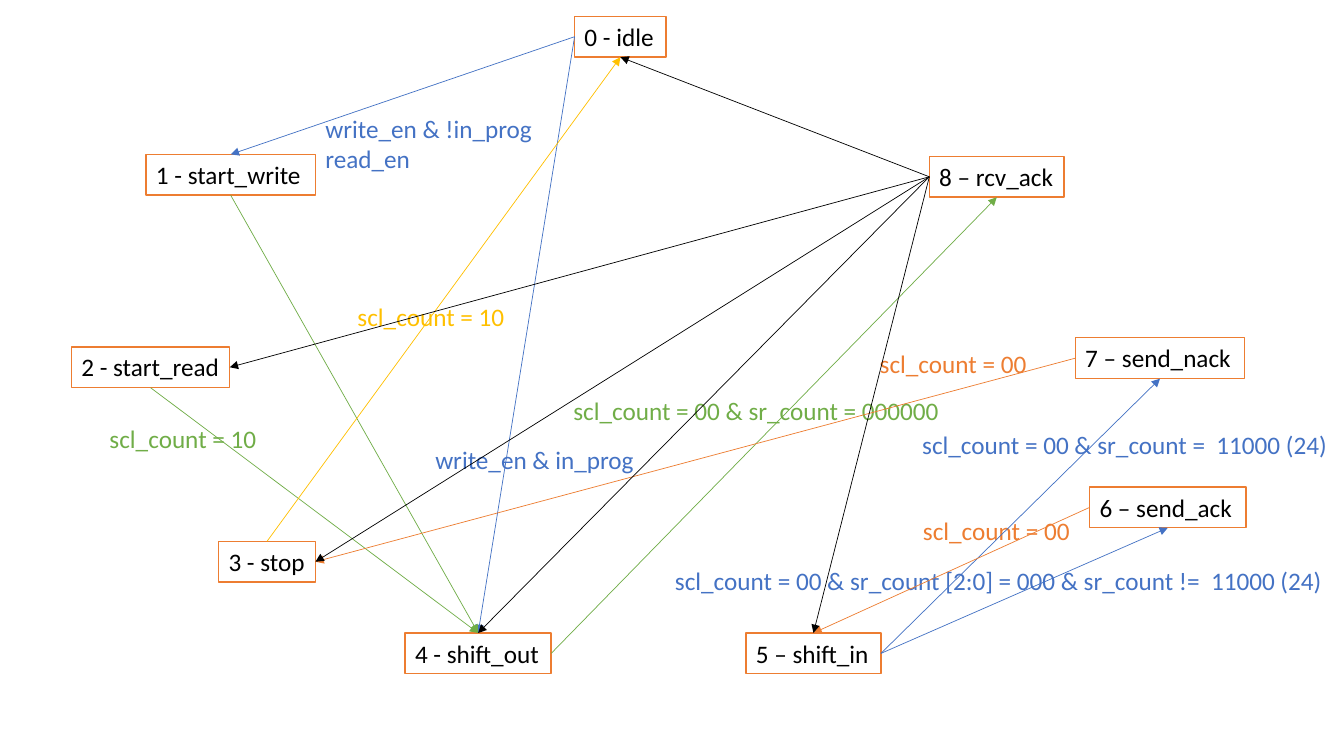
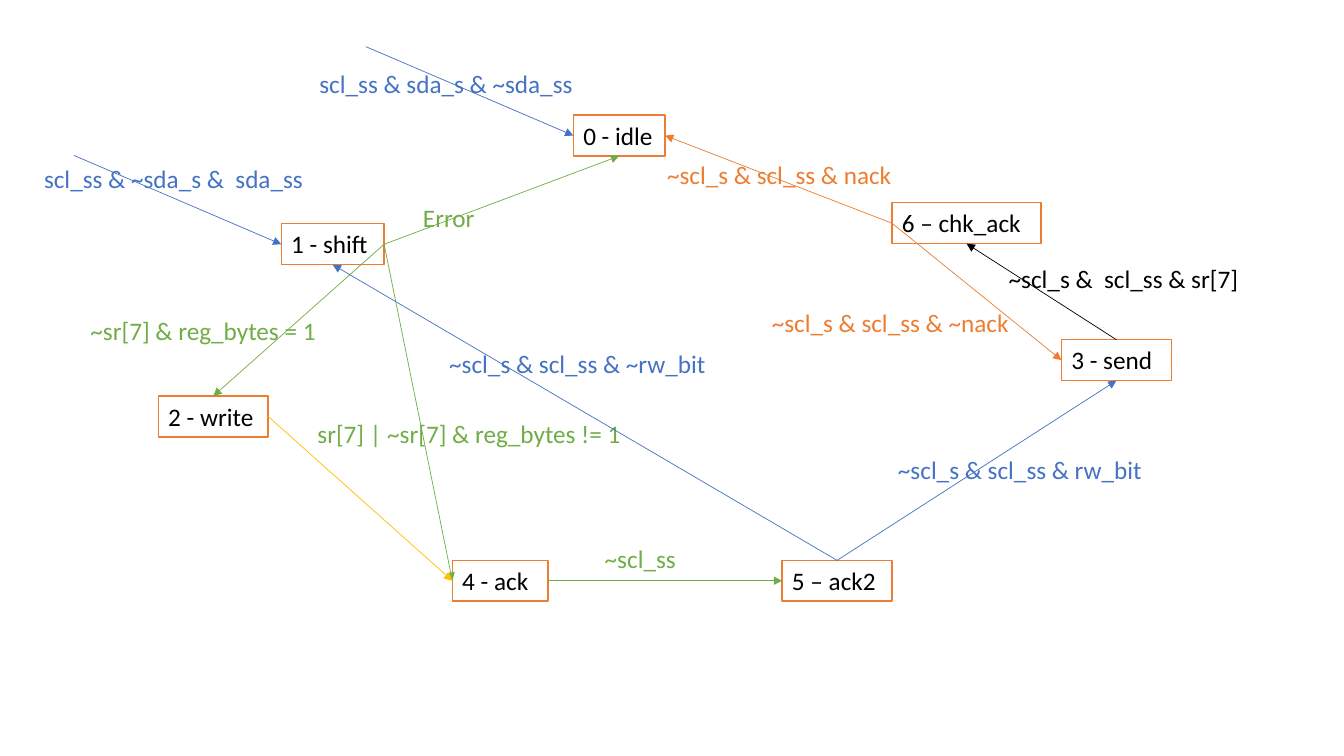
import dataclasses

import lxml.etree
import pptx
import pptx.dml.color
import pptx.enum.shapes
import pptx.enum.text
import pptx.oxml.ns
import pptx.util

Cm = pptx.util.Cm
Pt = pptx.util.Pt
qn = pptx.oxml.ns.qn
TOP, LEFT, BOTTOM, RIGHT = range(4)


@dataclasses.dataclass(frozen=True)
class Theme:
    font: str = "Calibri"
    text_size: float = 18
    state_line: float = 1
    arrow_line: float = 0.5
    row_height: float = 1.03
    white: str = "FFFFFF"
    black: str = "000000"
    blue: str = "4472C4"
    green: str = "70AD47"
    gold: str = "FFC000"
    orange: str = "ED7D31"

    def rgb(self, name):
        return pptx.dml.color.RGBColor.from_string(getattr(self, name))


@dataclasses.dataclass(frozen=True)
class Box:
    left: float
    top: float
    width: float
    height: float

    def place(self, x, y):
        return Cm(self.left + x), Cm(self.top + y)


THEME = Theme()
PAGE = Box(0, 0, 33.87, 19.05)
ENTRY_OFFSET = (Cm(-5.23), Cm(-2.24))

MASTER_STATES = [
    ("0 - idle", 14.48, 0.41, 2.31),
    ("1 - start_write", 3.68, 3.89, 4.27),
    ("2 - start_read", 1.8, 8.74, 3.99),
    ("3 - stop", 5.51, 13.64, 2.44),
    ("4 - shift_out", 10.21, 15.95, 3.68),
    ("5 – shift_in", 18.8, 15.95, 3.4),
    ("6 – send_ack", 27.46, 12.27, 3.94),
    ("7 – send_nack", 27.1, 8.51, 4.27),
    ("8 – rcv_ack", 23.42, 3.94, 3.4),
]
MASTER_LABELS = [
    ("write_en & !in_prog\nread_en", 7.95, 2.72, 5.87, "blue"),
    ("write_en & in_prog", 10.72, 11.07, 5.56, "blue"),
    ("scl_count = 10", 2.51, 10.54, 4.45, "green"),
    ("scl_count = 10", 8.76, 7.47, 4.5, "gold"),
    ("scl_count = 00 & sr_count = 000000", 14.2, 9.83, 9.75, "green"),
    ("scl_count = 00 & sr_count =  11000 (24)", 22.99, 10.69, 10.87, "blue"),
    ("scl_count = 00 & sr_count [2:0] = 000 & sr_count !=  11000 (24)",
     16.76, 14.12, 17.07, "blue"),
    ("scl_count = 00", 23.01, 12.85, 4.5, "orange"),
    ("scl_count = 00", 21.92, 8.66, 4.39, "orange"),
]
MASTER_ARROWS = [
    (0, LEFT, 1, TOP, "blue"),
    (0, LEFT, 4, TOP, "blue"),
    (1, BOTTOM, 4, TOP, "green"),
    (2, BOTTOM, 4, TOP, "green"),
    (3, TOP, 0, BOTTOM, "gold"),
    (4, RIGHT, 8, BOTTOM, "green"),
    (5, RIGHT, 7, BOTTOM, "blue"),
    (5, RIGHT, 6, BOTTOM, "blue"),
    (6, LEFT, 5, TOP, "orange"),
    (7, LEFT, 3, RIGHT, "orange"),
    (8, LEFT, 0, BOTTOM, "black"),
    (8, LEFT, 3, RIGHT, "black"),
    (8, LEFT, 2, RIGHT, "black"),
    (8, LEFT, 5, TOP, "black"),
    (8, LEFT, 4, TOP, "black"),
]

SLAVE_STATES = [
    ("0 - idle", 14.45, 2.9, 2.31),
    ("1 - shift", 7.09, 5.64, 2.59),
    ("2 - write", 3.99, 9.98, 2.77),
    ("3 - send", 26.75, 8.56, 2.77),
    ("4 - ack", 11.4, 14.12, 2.41),
    ("5 – ack2", 19.71, 14.12, 2.77),
    ("6 – chk_ack", 22.48, 5.11, 3.76),
]
SLAVE_LABELS = [
    ("scl_ss & ~sda_s &  sda_ss", 0.86, 3.99, 7.21, "blue"),
    ("scl_ss & sda_s & ~sda_ss", 7.8, 1.6, 7.19, "blue"),
    ("Error", 10.41, 4.98, 2.03, "green"),
    ("sr[7] | ~sr[7] & reg_bytes != 1", 7.75, 10.41, 8.2, "green"),
    ("~sr[7] & reg_bytes = 1", 2.03, 7.82, 6.32, "green"),
    ("~scl_s &  scl_ss & sr[7]", 25.17, 6.5, 7.26, "black"),
    ("~scl_ss", 14.99, 13.56, 3.45, "green"),
    ("~scl_s & scl_ss & rw_bit", 22.38, 11.33, 7.04, "blue"),
    ("~scl_s & scl_ss & nack", 16.56, 3.89, 6.4, "orange"),
    ("~scl_s & scl_ss & ~nack", 19.2, 7.62, 7.04, "orange"),
    ("~scl_s & scl_ss & ~rw_bit", 11.07, 8.66, 7.59, "blue"),
]
SLAVE_ARROWS = [
    (None, None, 1, LEFT, "blue"),
    (None, None, 0, LEFT, "blue"),
    (1, RIGHT, 0, BOTTOM, "green"),
    (1, RIGHT, 4, LEFT, "green"),
    (1, RIGHT, 2, TOP, "green"),
    (2, RIGHT, 4, LEFT, "gold"),
    (3, TOP, 6, BOTTOM, "black"),
    (4, RIGHT, 5, LEFT, "green"),
    (5, TOP, 1, BOTTOM, "blue"),
    (5, TOP, 3, BOTTOM, "blue"),
    (6, LEFT, 3, LEFT, "orange"),
    (6, LEFT, 0, RIGHT, "orange"),
]


def write_text(sp, text, color):
    tf = sp.text_frame
    tf.word_wrap = True
    tf.margin_right = 0
    tf.vertical_anchor = pptx.enum.text.MSO_ANCHOR.TOP
    tf.text = text
    for p in tf.paragraphs:
        p.alignment = pptx.enum.text.PP_ALIGN.LEFT
        p.font.name = THEME.font
        p.font.size = Pt(THEME.text_size)
        p.font.color.rgb = THEME.rgb(color)


def add_state(s, box, text, x, y, width):
    sp = s.shapes.add_shape(pptx.enum.shapes.MSO_SHAPE.RECTANGLE,
                            *box.place(x, y), Cm(width), Cm(THEME.row_height))
    sp.shadow.inherit = False
    sp.fill.solid()
    sp.fill.fore_color.rgb = THEME.rgb("white")
    sp.line.color.rgb = THEME.rgb("orange")
    sp.line.width = Pt(THEME.state_line)
    write_text(sp, text, "black")
    return sp


def add_label(s, box, text, x, y, width, color):
    rows = text.count("\n") + 1
    sp = s.shapes.add_textbox(*box.place(x, y), Cm(width),
                              Cm(THEME.row_height * rows))
    write_text(sp, text, color)


def add_arrow(s, states, source, source_side, target, target_side, color):
    line = s.shapes.add_connector(pptx.enum.shapes.MSO_CONNECTOR.STRAIGHT,
                                  0, 0, 0, 0)
    line.end_connect(states[target], target_side)
    if source is None:
        dx, dy = ENTRY_OFFSET
        line.begin_x, line.begin_y = line.end_x + dx, line.end_y + dy
    else:
        line.begin_connect(states[source], source_side)
    line.line.color.rgb = THEME.rgb(color)
    line.line.width = Pt(THEME.arrow_line)
    ln = line.line._get_or_add_ln()
    lxml.etree.SubElement(ln, qn("a:tailEnd"), type="triangle")
    lxml.etree.SubElement(line._element.spPr, qn("a:effectLst"))


def add_state_diagram(s, box, states, labels, arrows):
    shapes = [add_state(s, box, *state) for state in states]
    for label in labels:
        add_label(s, box, *label)
    for arrow in arrows:
        add_arrow(s, shapes, *arrow)


def main():
    prs = pptx.Presentation()
    prs.slide_width, prs.slide_height = Cm(PAGE.width), Cm(PAGE.height)
    for diagram in ((MASTER_STATES, MASTER_LABELS, MASTER_ARROWS),
                    (SLAVE_STATES, SLAVE_LABELS, SLAVE_ARROWS)):
        s = prs.slides.add_slide(prs.slide_layouts[6])
        add_state_diagram(s, PAGE, *diagram)
    prs.save("out.pptx")


if __name__ == "__main__":
    main()
